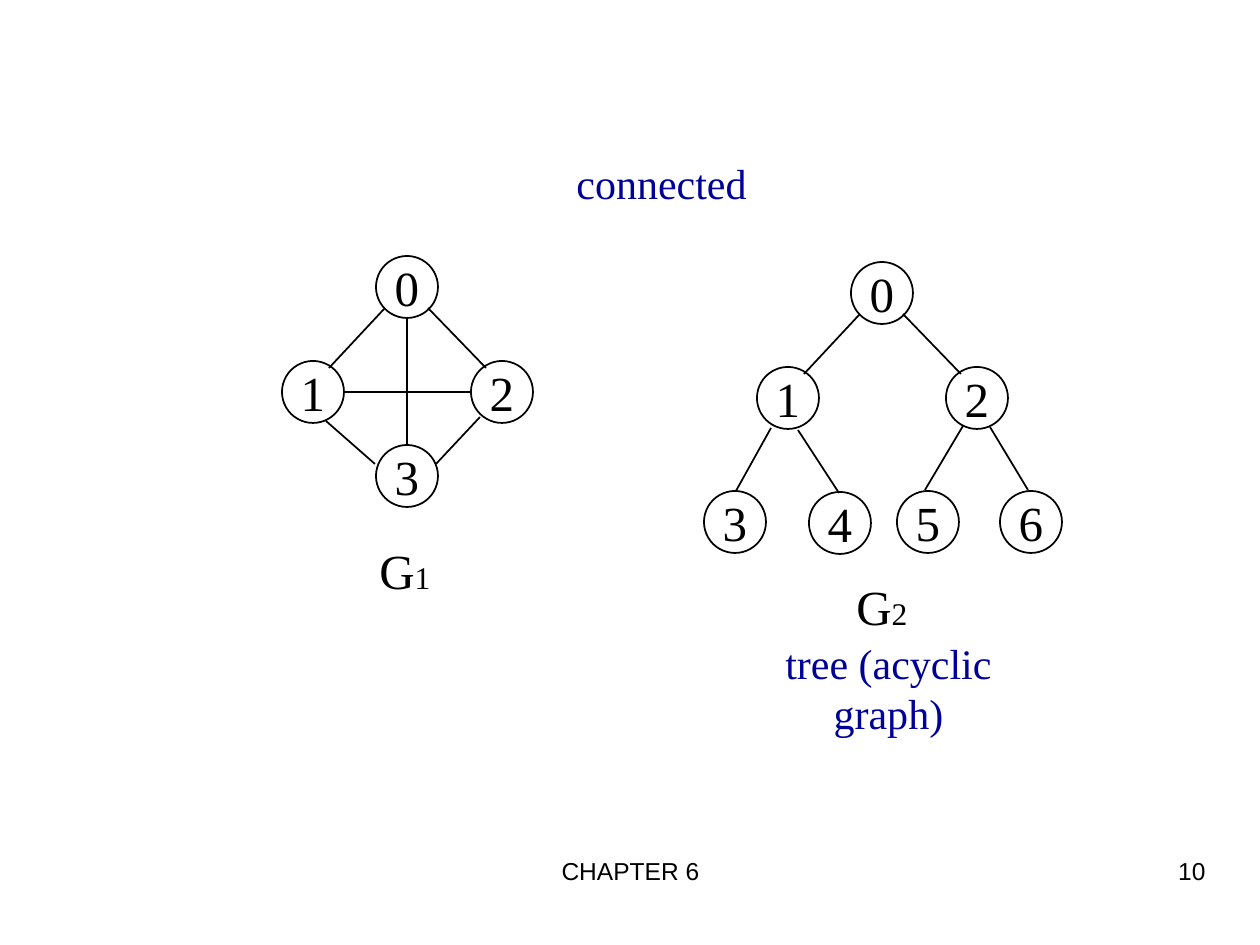
from lxml import etree
from pptx import Presentation
from pptx.dml.color import RGBColor
from pptx.enum.shapes import MSO_CONNECTOR, MSO_SHAPE
from pptx.enum.text import MSO_ANCHOR, PP_ALIGN
from pptx.oxml.ns import qn
from pptx.util import Pt

BLACK = RGBColor(0, 0, 0)
WHITE = RGBColor(255, 255, 255)
NAVY = RGBColor(0, 0, 153)
SERIF, SANS = "Times New Roman", "Arial"
LEFT, CENTER, RIGHT = PP_ALIGN.LEFT, PP_ALIGN.CENTER, PP_ALIGN.RIGHT
TOP, MIDDLE = MSO_ANCHOR.TOP, MSO_ANCHOR.MIDDLE
OVAL, STRAIGHT = MSO_SHAPE.OVAL, MSO_CONNECTOR.STRAIGHT
SCALE = 914400 / 126
DIAMETER = 62


def px(length):
    return round(length * SCALE)


class GraphSlide:
    def __init__(self, slide):
        self.shapes = slide.shapes

    def fill_text(self, frame, runs, align, anchor, color=BLACK, font=SERIF, wrap=False):
        frame.word_wrap = wrap
        frame.vertical_anchor = anchor
        paragraph = frame.paragraphs[0]
        paragraph.alignment = align
        for words, size in runs:
            run = paragraph.add_run()
            run.text = words
            run.font.name = font
            run.font.size = Pt(size)
            run.font.color.rgb = color

    def label(self, left, top, width, height, runs, align=LEFT, anchor=TOP, **style):
        box = self.shapes.add_textbox(px(left), px(top), px(width), px(height))
        self.fill_text(box.text_frame, runs, align, anchor, **style)

    def node(self, name, x, y):
        corner = px(x - DIAMETER / 2), px(y - DIAMETER / 2)
        circle = self.shapes.add_shape(OVAL, *corner, px(DIAMETER), px(DIAMETER))
        circle.shadow.inherit = False
        circle.fill.solid()
        circle.fill.fore_color.rgb = WHITE
        circle.line.color.rgb = BLACK
        circle.line.width = Pt(1)
        self.fill_text(circle.text_frame, [(name, 28)], CENTER, MIDDLE)

    def edge(self, *ends):
        connector = self.shapes.add_connector(STRAIGHT, *map(px, ends))
        connector.line.color.rgb = BLACK
        connector.line.width = Pt(1)
        etree.SubElement(connector._element.spPr, qn("a:effectLst"))

    def graph(self, x, y, lower_nodes, lower_edges):
        upper_nodes = [(x, y), (x - 94, y + 105), (x + 95, y + 105)]
        for number, center in enumerate(upper_nodes + lower_nodes):
            self.node(str(number), *center)
        self.edge(x - 22, y + 21, x - 78, y + 81)
        self.edge(x + 21, y + 21, x + 79, y + 81)
        for ends in lower_edges:
            self.edge(*ends)


def main():
    deck = Presentation()
    deck.slide_width, deck.slide_height = px(1260), px(945)
    page = GraphSlide(deck.slides.add_slide(deck.slide_layouts[6]))

    page.label(431, 850, 399, 66, [("CHAPTER 6", 14)], CENTER, font=SANS, wrap=True)
    page.label(903, 850, 315, 66, [("10", 14)], RIGHT, font=SANS, wrap=True)

    page.graph(407, 287, [(407, 476)], [
        (407, 319, 407, 445),
        (344, 392, 470, 392),
        (326, 421, 375, 464),
        (480, 417, 436, 464),
    ])
    page.graph(882, 293, [(735, 522), (840, 523), (928, 522), (1031, 522)], [
        (771, 428, 736, 491),
        (798, 430, 839, 493),
        (963, 426, 925, 490),
        (990, 427, 1028, 490),
    ])

    for number, left, top in (("1", 367, 534), ("2", 844, 570)):
        page.label(left, top, 77, 72, [("G", 28), (number, 18)])
    page.label(564, 151, 195, 63, [("connected", 24)], CENTER, MIDDLE, color=NAVY)
    page.label(713, 656, 351, 63, [("tree (acyclic graph)", 24)], CENTER, MIDDLE, color=NAVY)

    deck.save("out.pptx")


if __name__ == "__main__":
    main()
